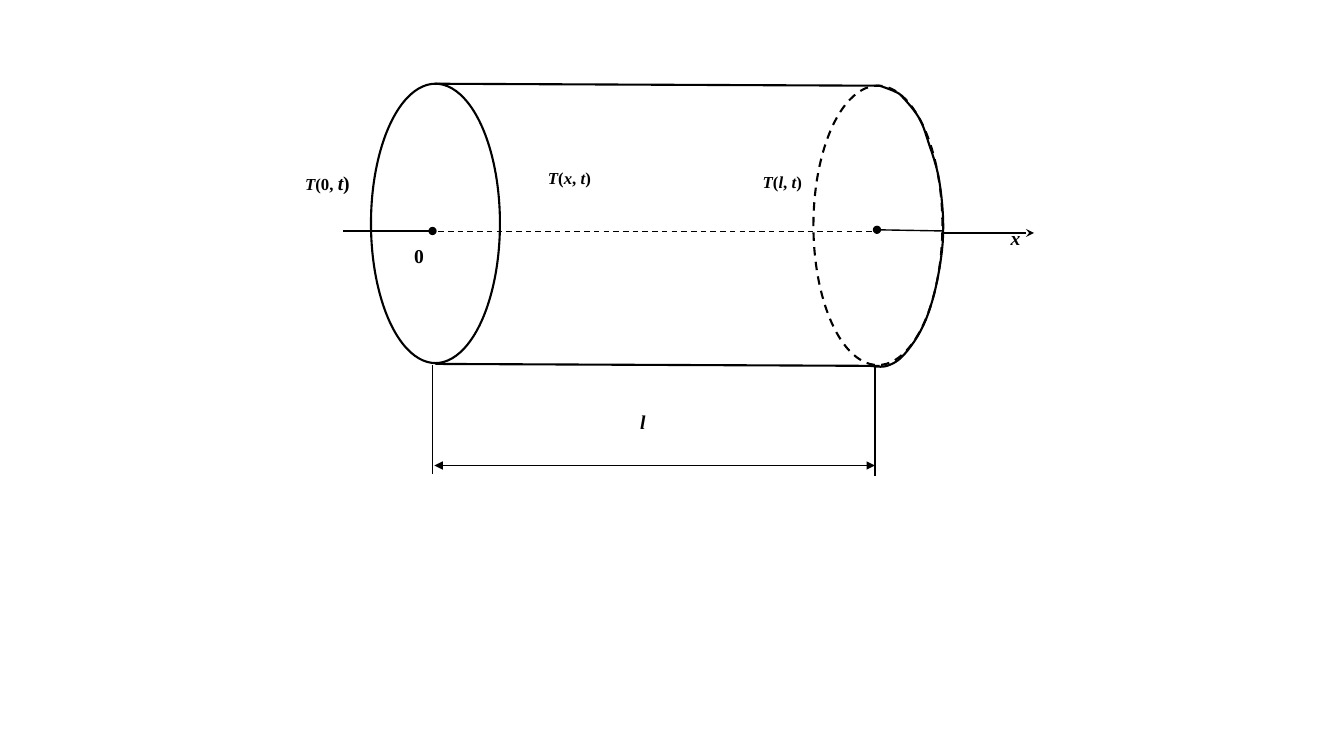
from dataclasses import dataclass

from lxml.etree import SubElement
from pptx import Presentation
from pptx.dml.color import RGBColor
from pptx.enum.dml import MSO_LINE_DASH_STYLE as Dash
from pptx.enum.shapes import MSO_CONNECTOR_TYPE as Connector, MSO_SHAPE as Shape
from pptx.enum.text import MSO_ANCHOR as Anchor, PP_ALIGN as Align
from pptx.oxml.ns import qn
from pptx.util import Cm, Pt


@dataclass(frozen=True)
class Theme:
    ink: RGBColor = RGBColor(0, 0, 0)
    font: str = "Times New Roman"
    small: Pt = Pt(12)
    large: Pt = Pt(14)
    thin: Pt = Pt(1)
    thick: Pt = Pt(1.5)


THEME = Theme()

# All coordinates are in centimetres
END_SIZE = (3.25, 7.04)
RIM_KNOTS = [
    (22.17, 2.16), (22.56, 2.31), (22.76, 2.46), (23.16, 2.97),
    (23.39, 3.56), (23.67, 4.55), (23.77, 5.87), (23.6, 7.16),
    (23.27, 8.2), (22.78, 8.94), (22.35, 9.22), (21.92, 9.22),
]
SIDES = [((10.97, 2.11), (22.17, 2.16)), ((10.97, 9.17), (22.17, 9.22))]
EXTENSIONS = [((10.9, 9.19), (10.9, 11.94)), ((22.05, 9.25), (22.05, 11.99))]

# Each span is text, italic, size
SMALL, LARGE = THEME.small, THEME.large
LABELS = [
    ((7.44, 3.89, 8.05, 2.34),
     [("Т", True, SMALL), ("(0, ", False, SMALL), ("t", True, LARGE), (")", False, LARGE)]),
    ((13.56, 3.84, 6.53, 3.1),
     [("Т", True, SMALL), ("(", False, SMALL), ("x", True, SMALL),
      (", ", False, SMALL), ("t", True, SMALL), (")", False, SMALL)]),
    ((18.97, 3.94, 5.94, 2.34),
     [("Т", True, SMALL), ("(", False, SMALL), ("l", True, SMALL),
      (", ", False, SMALL), ("t", True, SMALL), (")", False, SMALL)]),
    ((25.22, 5.28, 1.42, 2.08), [("х", True, LARGE)]),
    ((15.88, 9.91, 1.42, 2.08), [("l", True, LARGE)]),
    ((10.19, 5.72, 1.42, 2.08), [("0", False, LARGE)]),
]


def apply_format(target, values):
    for name, value in values.items():
        setattr(target, name, value)


def style_line(line, width, dash=None):
    line.fill.solid()
    line.fill.fore_color.rgb = THEME.ink
    apply_format(line, {"width": width, "dash_style": dash})


def style_outline(shape, width, dash=None):
    shape.shadow.inherit = False
    shape.fill.background()
    style_line(shape.line, width, dash)


def add_line(group, start, end, width=THEME.thin, dash=None, head=None, tail=None):
    line = group.shapes.add_connector(
        Connector.STRAIGHT, *(Cm(value) for value in (*start, *end)))
    style_line(line.line, width, dash)
    outline = line.line._get_or_add_ln()
    for tag, kind in (("a:headEnd", head), ("a:tailEnd", tail)):
        if kind:
            SubElement(outline, qn(tag), type=kind)
    SubElement(line._element.spPr, qn("a:effectLst"))


def add_end(group, left, top, dash=None):
    ellipse = group.shapes.add_shape(
        Shape.OVAL, *(Cm(value) for value in (left, top, *END_SIZE)))
    style_outline(ellipse, THEME.thick, dash)


def smooth_points(knots, steps=6):
    """Return points on a Catmull-Rom curve through the knots."""
    padded = [knots[0], *knots, knots[-1]]
    points = [knots[0]]
    for a, b, c, d in zip(padded, padded[1:], padded[2:], padded[3:]):
        for step in range(1, steps + 1):
            t = step / steps
            points.append(tuple(
                0.5 * (2 * q + (r - p) * t + (2 * p - 5 * q + 4 * r - s) * t**2
                       + (3 * q - p - 3 * r + s) * t**3)
                for p, q, r, s in zip(a, b, c, d)))
    return points


def add_rim(group, knots):
    points = [(Cm(x), Cm(y)) for x, y in smooth_points(knots)]
    builder = group.shapes.build_freeform(*points[0])
    builder.add_line_segments(points[1:], close=False)
    style_outline(builder.convert_to_shape(), THEME.thick)


def add_label(group, bounds, spans):
    box = group.shapes.add_textbox(*(Cm(value) for value in bounds))
    apply_format(box.text_frame, {"word_wrap": True, "vertical_anchor": Anchor.TOP})
    para = box.text_frame.paragraphs[0]
    apply_format(para, {"alignment": Align.JUSTIFY, "line_spacing": 1.5})
    for text, italic, size in spans:
        span = para.add_run()
        span.text = text
        apply_format(span.font, {"name": THEME.font, "size": size,
                                 "bold": True, "italic": italic})
        span.font.color.rgb = THEME.ink


def main():
    deck = Presentation()
    apply_format(deck, {"slide_width": Cm(33.87), "slide_height": Cm(19.05)})
    page = deck.slides.add_slide(deck.slide_layouts[6])
    group = page.shapes.add_group_shape()

    # Cylinder
    for start, end in EXTENSIONS:
        add_line(group, start, end)
    add_end(group, 9.35, 2.11)
    add_end(group, 20.5, 2.16, Dash.DASH)
    add_rim(group, RIM_KNOTS)
    for start, end in SIDES:
        add_line(group, start, end, THEME.thick)

    # Axis
    add_line(group, (10.8, 5.84), (22.02, 5.84), dash=Dash.DASH)
    add_line(group, (10.9, 5.82), (8.64, 5.82), head="oval")
    add_line(group, (26.06, 5.87), (23.77, 5.87), head="stealth")
    add_line(group, (22.1, 5.79), (23.77, 5.82), head="oval")

    # Length dimension
    add_line(group, (10.95, 11.73), (22.05, 11.73), head="triangle", tail="triangle")

    # Labels
    for bounds, spans in LABELS:
        add_label(group, bounds, spans)

    deck.save("out.pptx")


if __name__ == "__main__":
    main()
